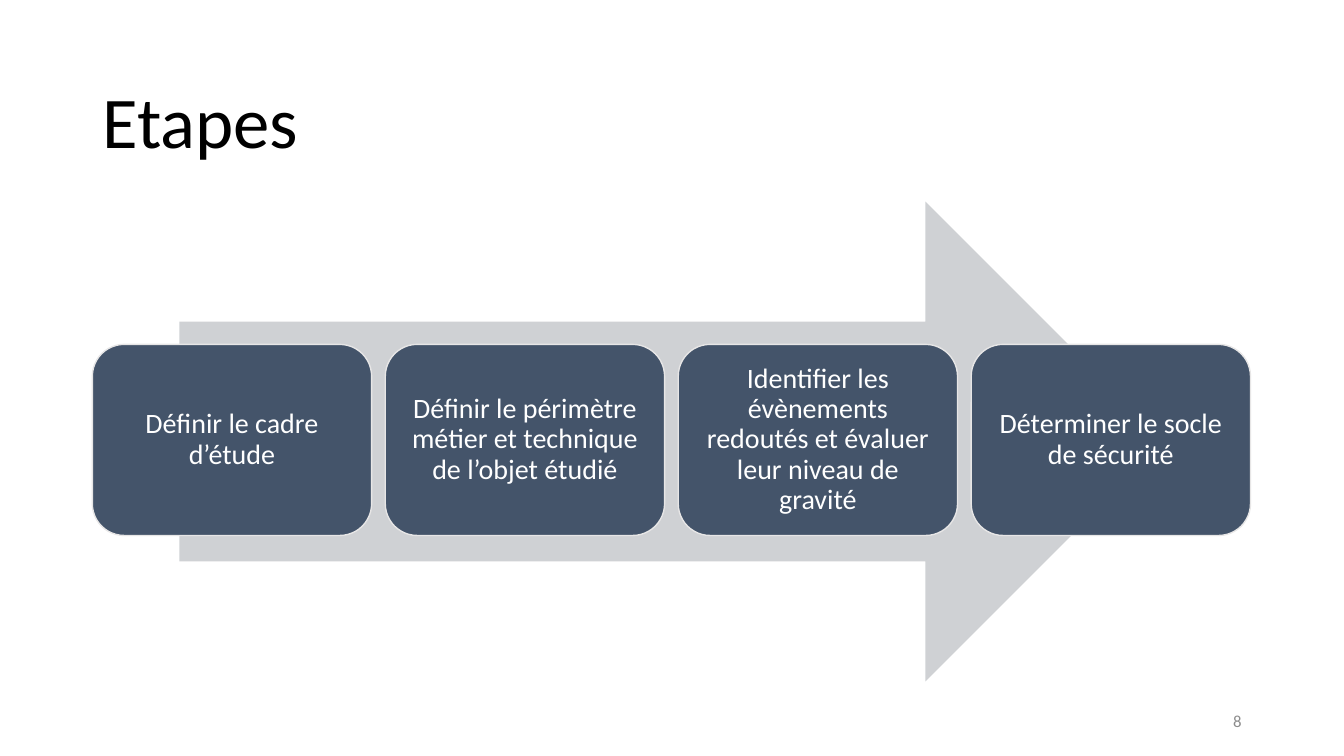
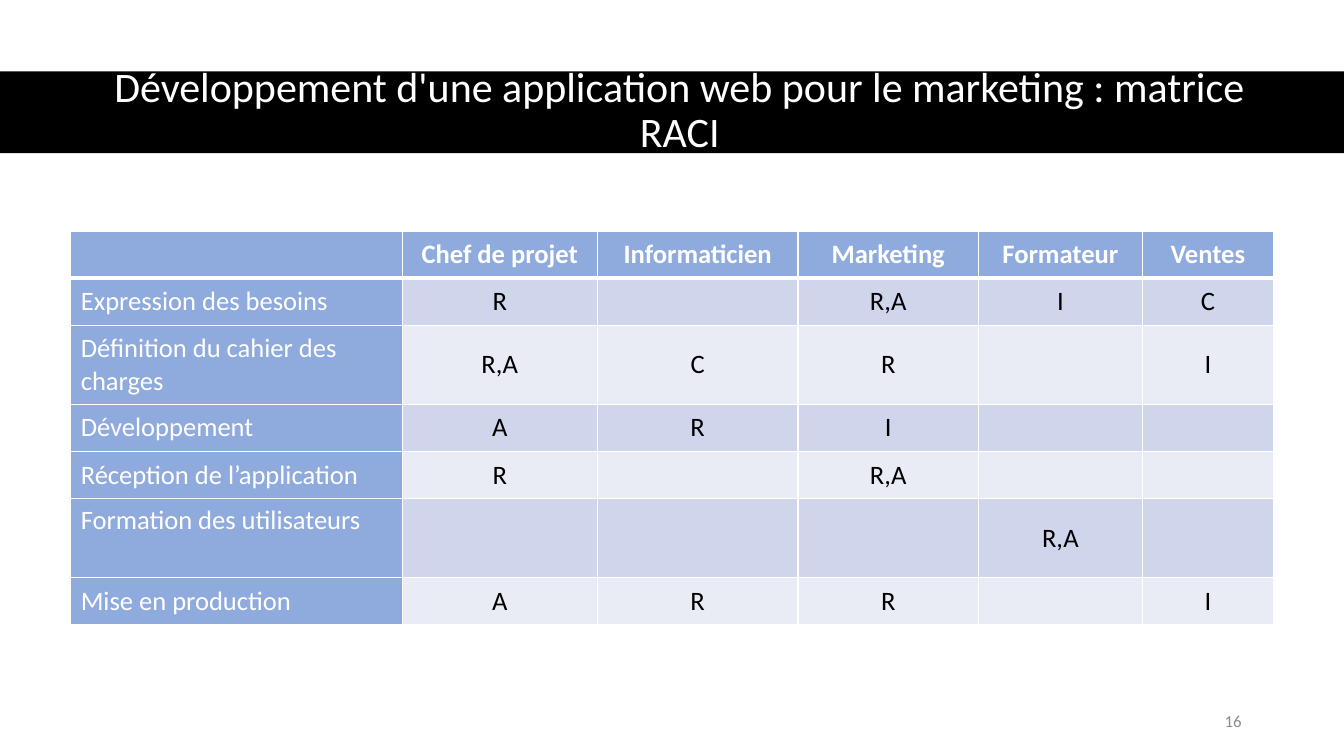
from lxml.etree import SubElement
from pptx import Presentation
from pptx.dml.color import RGBColor
from pptx.enum.shapes import MSO_SHAPE as SHAPE
from pptx.enum.text import MSO_ANCHOR as ANCHOR, MSO_AUTO_SIZE as AUTO, PP_ALIGN as ALIGN
from pptx.oxml.ns import qn
from pptx.util import Pt

PX = 9525
FONT = "Calibri"
BLACK = RGBColor(0x00, 0x00, 0x00)
WHITE = RGBColor(0xFF, 0xFF, 0xFF)
GREY = RGBColor(0x8C, 0x8C, 0x8C)
ARROW = RGBColor(0xCF, 0xD1, 0xD4)
SLATE = RGBColor(0x44, 0x54, 0x6A)
PALE = RGBColor(0xE7, 0xE6, 0xE6)
BLUE = RGBColor(0x8F, 0xAA, 0xDC)
BANDS = [RGBColor(0xCF, 0xD5, 0xEA), RGBColor(0xE9, 0xEB, 0xF5)]


def write(tf, text, size, color, align, spacing=1.0, bold=False):
    p = tf.paragraphs[0]
    p.text = text
    p.alignment = align
    p.line_spacing = spacing
    p.font.name = FONT
    p.font.size = Pt(size)
    p.font.color.rgb = color
    p.font.bold = bold


def add_shape(s, kind, box, fill):
    sp = s.shapes.add_shape(kind, *[v * PX for v in box])
    sp.shadow.inherit = False
    sp.fill.solid()
    sp.fill.fore_color.rgb = fill
    sp.line.fill.background()
    return sp


prs = Presentation()
prs.slide_width = 1280 * PX
prs.slide_height = 720 * PX

pages = [
    ("Etapes", (88, 59, 1104, 119), 52, BLACK, ALIGN.LEFT, "8"),
    ("Développement d'une application web pour le marketing : matrice RACI",
     (59, 67, 1177, 78), 30, WHITE, ALIGN.CENTER, "16"),
]
for text, box, size, color, align, number in pages:
    s = prs.slides.add_slide(prs.slide_layouts[5])
    title = s.shapes.title
    title.left, title.top, title.width, title.height = [v * PX for v in box]
    tf = title.text_frame
    tf.auto_size = AUTO.NONE
    tf.vertical_anchor = ANCHOR.MIDDLE
    write(tf, text, size, color, align, 0.9)
    tf = s.shapes.add_textbox(904 * PX, 667 * PX, 288 * PX, 38 * PX).text_frame
    tf.word_wrap = True
    tf.vertical_anchor = ANCHOR.MIDDLE
    write(tf, number, 12, GREY, ALIGN.RIGHT)

steps_slide, raci_slide = prs.slides

add_shape(steps_slide, SHAPE.RIGHT_ARROW, (171, 192, 939, 457), ARROW)
steps = [
    "Définir le cadre d’étude",
    "Définir le périmètre métier et technique de l’objet étudié",
    "Identifier les évènements redoutés et évaluer leur niveau de gravité",
    "Déterminer le socle de sécurité",
]
for i, step in enumerate(steps):
    sp = add_shape(steps_slide, SHAPE.ROUNDED_RECTANGLE, (88 + 279 * i, 328, 266, 182), SLATE)
    sp.line.color.rgb = PALE
    sp.line.width = Pt(1)
    tf = sp.text_frame
    tf.word_wrap = True
    tf.vertical_anchor = ANCHOR.MIDDLE
    tf.margin_left = tf.margin_right = tf.margin_top = tf.margin_bottom = 8 * PX
    write(tf, step, 20, WHITE, ALIGN.CENTER, 0.9)

band = add_shape(raci_slide, SHAPE.RECTANGLE, (0, 68, 1280, 78), BLACK)
raci_slide.shapes.title.element.addprevious(band.element)

rows = [
    ["", "Chef de projet", "Informaticien", "Marketing", "Formateur", "Ventes"],
    ["Expression des besoins", "R", "", "R,A", "I", "C"],
    ["Définition du cahier des charges", "R,A", "C", "R", "", "I"],
    ["Développement", "A", "R", "I", "", ""],
    ["Réception de l’application", "R", "", "R,A", "", ""],
    ["Formation des utilisateurs", "", "", "", "R,A", ""],
    ["Mise en production", "A", "R", "R", "", "I"],
]
widths = [316, 186, 191, 172, 156, 125]
heights = [45, 45, 75, 45, 45, 75, 45]
table = raci_slide.shapes.add_table(
    len(rows), len(widths), 67 * PX, 220 * PX, sum(widths) * PX, sum(heights) * PX).table
for col, width in zip(table.columns, widths):
    col.width = width * PX
for row, height in zip(table.rows, heights):
    row.height = height * PX

for r, row in enumerate(rows):
    for c, text in enumerate(row):
        cell = table.cell(r, c)
        tc_pr = cell._tc.get_or_add_tcPr()
        for side in ("lnL", "lnR", "lnT", "lnB"):
            thick = (r, side) in ((0, "lnB"), (1, "lnT"))
            ln = SubElement(tc_pr, qn("a:" + side), w=str(Pt(3 if thick else 1)))
            SubElement(SubElement(ln, qn("a:solidFill")), qn("a:srgbClr"), val=str(WHITE))
        header = r == 0 or c == 0
        cell.fill.solid()
        cell.fill.fore_color.rgb = BLUE if header else BANDS[(r - 1) % 2]
        cell.margin_left = cell.margin_right = 10 * PX
        cell.margin_top = cell.margin_bottom = 5 * PX
        top = text == "Formation des utilisateurs"
        cell.vertical_anchor = ANCHOR.TOP if top else ANCHOR.MIDDLE
        write(cell.text_frame, text, 19, WHITE if header else BLACK,
              ALIGN.CENTER if c else ALIGN.LEFT, bold=r == 0)

prs.save("out.pptx")
